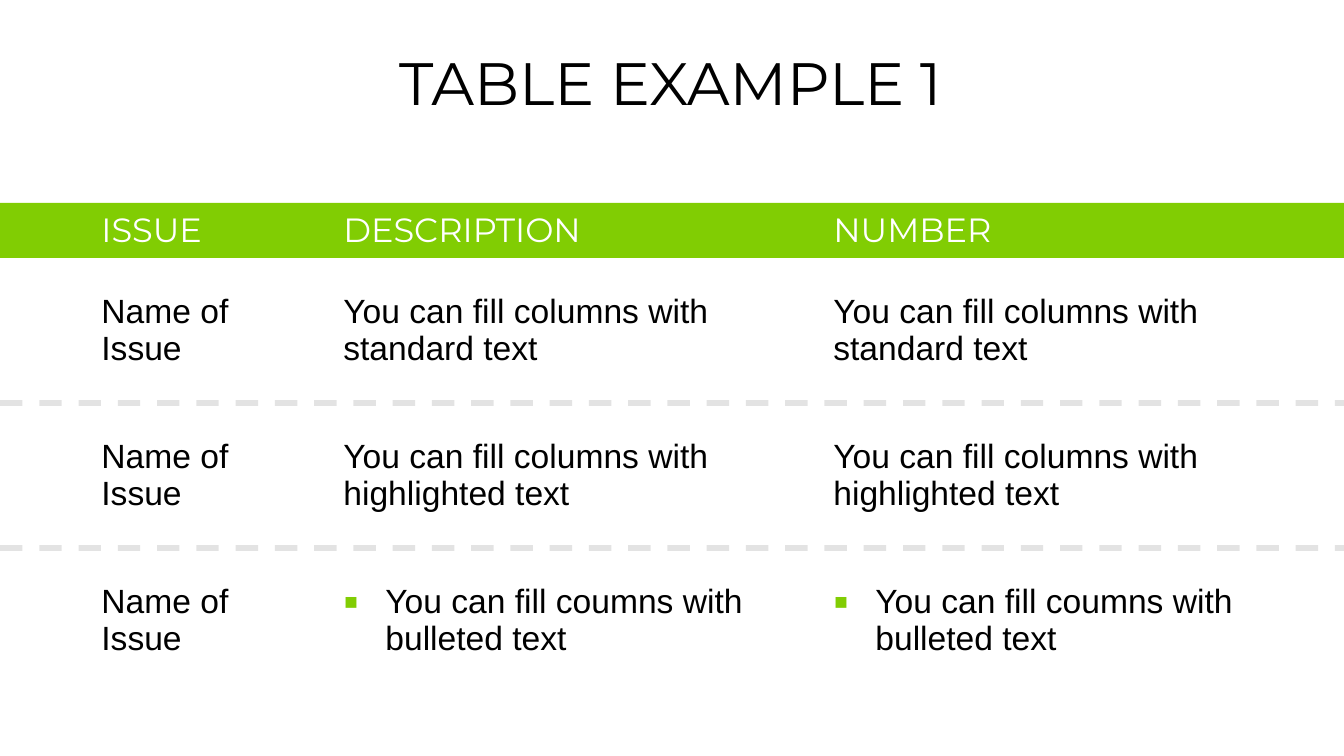
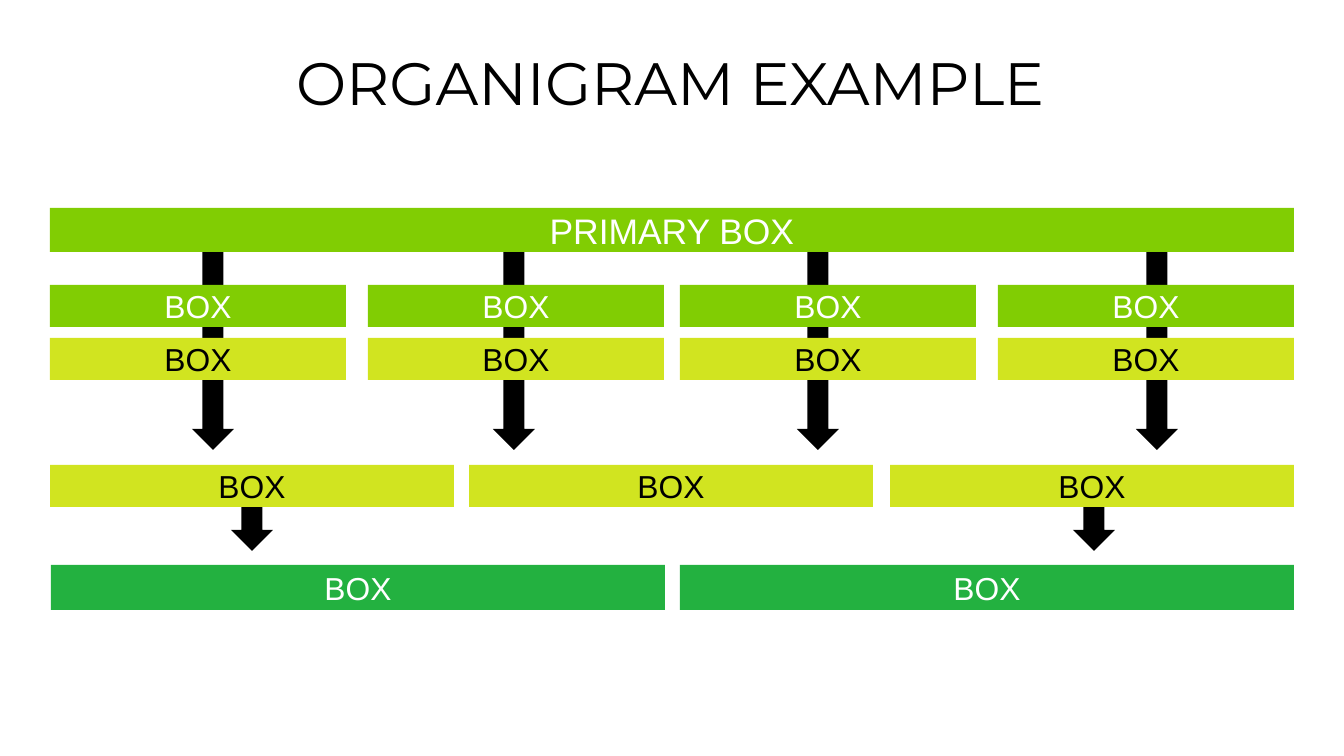
from lxml import etree
from pptx import Presentation
from pptx.dml.color import RGBColor
from pptx.enum import dml, shapes, text
from pptx.oxml import ns
from pptx.util import Pt

PX = 914400 / 134.4
WIDTH, HEIGHT = 1344, 756
TITLE_AREA = (85, 60, 1171, 39)
HEADING_FONT, BODY_FONT = "Montserrat", "Arial"

BLACK = RGBColor(0x00, 0x00, 0x00)
WHITE = RGBColor(0xFF, 0xFF, 0xFF)
GREEN = RGBColor(0x81, 0xCD, 0x03)
LIME = RGBColor(0xD1, 0xE4, 0x20)
DARK_GREEN = RGBColor(0x23, 0xB1, 0x40)

HEADERS = ["ISSUE", "DESCRIPTION", "NUMBER"]
DETAILS = [
    "You can fill columns with standard text",
    "You can fill columns with highlighted text",
    "You can fill coumns with bulleted text",
]
ROWS = [HEADERS] + [["Name of Issue", detail, detail] for detail in DETAILS]
BULLETED_ROW = 3
TABLE_LEFT, TABLE_TOP = 88, 203
COLUMN_WIDTHS = [242, 490, 434]
HEADER_HEIGHT, ROW_HEIGHT = 55, 145
NO_STYLE = "{2D5ABB26-0587-4C30-8999-92F81FD0307C}"

# Each tier: label, size, fill, font colour, top, height, width, lefts
FOUR_LEFTS = [50, 368, 680, 998]
TIERS = [
    ("PRIMARY BOX", 19, GREEN, WHITE, 208, 44, 1244, [50]),
    ("BOX", 17, GREEN, WHITE, 285, 42, 296, FOUR_LEFTS),
    ("BOX", 17, LIME, BLACK, 338, 42, 296, FOUR_LEFTS),
    ("BOX", 17, LIME, BLACK, 465, 42, 404, [50, 469, 890]),
    ("BOX", 17, DARK_GREEN, WHITE, 565, 45, 614, [51, 680]),
]
# Each set of arrows: top, height, lefts
ARROWS = [(252, 198, [192, 493, 797, 1136]), (506, 45, [231, 1073])]
ARROW_WIDTH = 42


def px(*lengths):
    return [round(length * PX) for length in lengths]


def style(para, size, font, color):
    for span in para.runs:
        span.font.size = Pt(size)
        span.font.name = font
        span.font.color.rgb = color


def add_page(deck, heading):
    page = deck.slides.add_slide(deck.slide_layouts[5])
    title = page.shapes.title
    title.left, title.top, title.width, title.height = px(*TITLE_AREA)
    frame = title.text_frame
    frame.text = heading
    frame.margin_left = frame.margin_right = frame.margin_top = frame.margin_bottom = 0
    frame.vertical_anchor = text.MSO_ANCHOR.TOP
    frame.auto_size = text.MSO_AUTO_SIZE.NONE
    para = frame.paragraphs[0]
    para.alignment = text.PP_ALIGN.CENTER
    para.line_spacing = 0.8
    style(para, 32, HEADING_FONT, BLACK)
    return page


def add_block(page, kind, area, fill):
    block = page.shapes.add_shape(kind, *px(*area))
    block.shadow.inherit = False
    block.fill.solid()
    block.fill.fore_color.rgb = fill
    block.line.fill.background()
    return block


def add_divider(page, y):
    """Draw a faint dashed line across the whole page."""
    line = page.shapes.add_connector(shapes.MSO_CONNECTOR.STRAIGHT, *px(0, y, WIDTH, y))
    line.line.width = Pt(3)
    line.line.color.rgb = BLACK
    line.line.dash_style = dml.MSO_LINE.DASH
    props = line._element.spPr
    color = props.find(".//" + ns.qn("a:srgbClr"))
    etree.SubElement(color, ns.qn("a:alpha"), val="11000")
    etree.SubElement(props, ns.qn("a:effectLst"))


def add_bullet(para):
    props = para._p.get_or_add_pPr()
    indent = px(42)[0]
    props.set("marL", str(indent))
    props.set("indent", str(-indent))
    color = etree.SubElement(props, ns.qn("a:buClr"))
    etree.SubElement(color, ns.qn("a:srgbClr"), val=str(GREEN))
    etree.SubElement(props, ns.qn("a:buSzPct"), val="130000")
    etree.SubElement(props, ns.qn("a:buFont"), typeface=BODY_FONT)
    etree.SubElement(props, ns.qn("a:buChar"), char="▪")


def build_table(deck):
    page = add_page(deck, "TABLE EXAMPLE 1")
    add_block(page, shapes.MSO_SHAPE.RECTANGLE, (0, TABLE_TOP, WIDTH, HEADER_HEIGHT), GREEN)
    heights = [HEADER_HEIGHT] + [ROW_HEIGHT] * len(DETAILS)
    area = px(TABLE_LEFT, TABLE_TOP, sum(COLUMN_WIDTHS), sum(heights))
    table = page.shapes.add_table(len(ROWS), len(HEADERS), *area).table
    table.first_row = table.horz_banding = False
    table._tbl.tblPr.find(ns.qn("a:tableStyleId")).text = NO_STYLE
    for column, width in zip(table.columns, px(*COLUMN_WIDTHS)):
        column.width = width
    for row, height in zip(table.rows, px(*heights)):
        row.height = height
    for r, labels in enumerate(ROWS):
        for c, label in enumerate(labels):
            cell = table.cell(r, c)
            cell.fill.background()
            cell.vertical_anchor = text.MSO_ANCHOR.MIDDLE
            cell.text_frame.text = label
            para = cell.text_frame.paragraphs[0]
            if r == BULLETED_ROW and c > 0:
                add_bullet(para)
            if r == 0:
                style(para, 18, HEADING_FONT, WHITE)
            else:
                style(para, 18, BODY_FONT, BLACK)
    for n in range(1, len(DETAILS)):
        add_divider(page, TABLE_TOP + HEADER_HEIGHT + n * ROW_HEIGHT)


def build_organigram(deck):
    page = add_page(deck, "ORGANIGRAM EXAMPLE")
    for top, height, lefts in ARROWS:
        for left in lefts:
            add_block(page, shapes.MSO_SHAPE.DOWN_ARROW, (left, top, ARROW_WIDTH, height), BLACK)
    for label, size, fill, color, top, height, width, lefts in TIERS:
        for left in lefts:
            box = add_block(page, shapes.MSO_SHAPE.RECTANGLE, (left, top, width, height), fill)
            frame = box.text_frame
            frame.text = label
            frame.vertical_anchor = text.MSO_ANCHOR.MIDDLE
            para = frame.paragraphs[0]
            para.alignment = text.PP_ALIGN.CENTER
            style(para, size, BODY_FONT, color)


def main():
    deck = Presentation()
    deck.slide_width, deck.slide_height = px(WIDTH, HEIGHT)
    build_table(deck)
    build_organigram(deck)
    deck.save("out.pptx")


if __name__ == "__main__":
    main()
